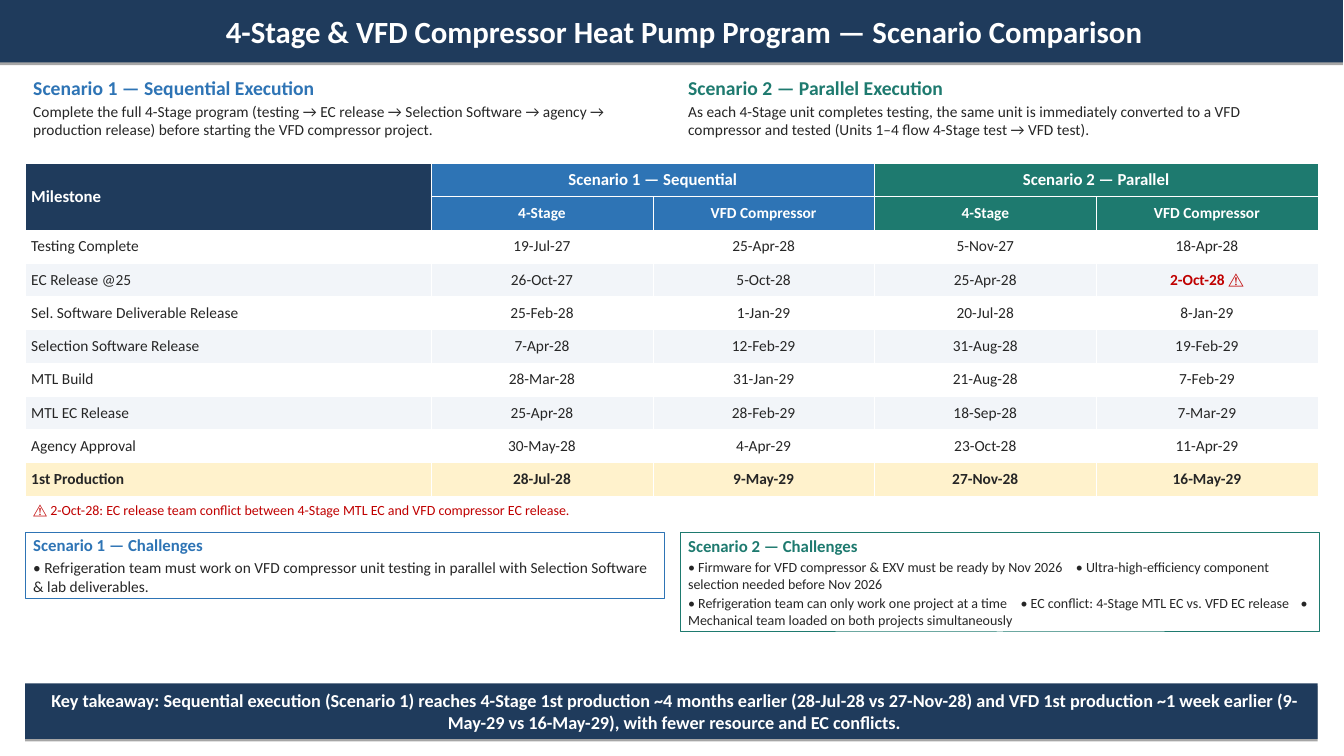
from lxml import etree
from pptx import Presentation
from pptx import util as u
from pptx.dml import color
from pptx.enum import shapes, text
from pptx.oxml import ns

FONT = "Calibri"
NAVY, BLUE, GREEN = "1F3B5C", "2E74B5", "1E7A6F"
INK, RED, WHITE = "262626", "C00000", "FFFFFF"
BAND, HIGHLIGHT = "F2F5F9", "FFF2CC"
LEFT, FULL_WIDTH = 0.25, 12.83
COLUMN_LEFTS, COLUMN_WIDTH = (LEFT, 6.75), 6.35
TEXT_INSETS = (0.08, 0.03, 0.08, 0.03)

SCENARIOS = [
    ("Scenario 1 — Sequential Execution", BLUE,
     "Complete the full 4-Stage program (testing → EC release → Selection Software → agency → "
     "production release) before starting the VFD compressor project."),
    ("Scenario 2 — Parallel Execution", GREEN,
     "As each 4-Stage unit completes testing, the same unit is immediately converted to a VFD "
     "compressor and tested (Units 1–4 flow 4-Stage test → VFD test)."),
]
GROUPS = [("Scenario 1 — Sequential", BLUE), ("Scenario 2 — Parallel", GREEN)]
SUBHEADS = ["4-Stage", "VFD Compressor"]
MILESTONES = [
    ("Testing Complete", "19-Jul-27", "25-Apr-28", "5-Nov-27", "18-Apr-28"),
    ("EC Release @25", "26-Oct-27", "5-Oct-28", "25-Apr-28", "2-Oct-28 ⚠"),
    ("Sel. Software Deliverable Release", "25-Feb-28", "1-Jan-29", "20-Jul-28", "8-Jan-29"),
    ("Selection Software Release", "7-Apr-28", "12-Feb-29", "31-Aug-28", "19-Feb-29"),
    ("MTL Build", "28-Mar-28", "31-Jan-29", "21-Aug-28", "7-Feb-29"),
    ("MTL EC Release", "25-Apr-28", "28-Feb-29", "18-Sep-28", "7-Mar-29"),
    ("Agency Approval", "30-May-28", "4-Apr-29", "23-Oct-28", "11-Apr-29"),
    ("1st Production", "28-Jul-28", "9-May-29", "27-Nov-28", "16-May-29"),
]
# Each challenge line: text and the tab stops (inches) of its later bullets
CHALLENGES = [
    ("Scenario 1 — Challenges", BLUE, 0.66, 11, [
        ("• Refrigeration team must work on VFD compressor unit testing in parallel with "
         "Selection Software & lab deliverables.", []),
    ]),
    ("Scenario 2 — Challenges", GREEN, 0.99, 10, [
        ("• Firmware for VFD compressor & EXV must be ready by Nov 2026\t"
         "• Ultra-high-efficiency component selection needed before Nov 2026", [3.85]),
        ("• Refrigeration team can only work one project at a time\t"
         "• EC conflict: 4-Stage MTL EC vs. VFD EC release\t"
         "• Mechanical team loaded on both projects simultaneously", [3.3, 6.08]),
    ]),
]


def rgb(hex_color):
    return color.RGBColor.from_string(hex_color)


def fill_solid(target, hex_color):
    target.fill.solid()
    target.fill.fore_color.rgb = rgb(hex_color)


def place(shape, box):
    shape.left, shape.top, shape.width, shape.height = (u.Inches(length) for length in box)


def set_frame(frame, insets, anchor):
    frame.word_wrap = True
    frame.auto_size = text.MSO_AUTO_SIZE.NONE
    frame.vertical_anchor = anchor
    (frame.margin_left, frame.margin_top,
     frame.margin_right, frame.margin_bottom) = (u.Inches(inset) for inset in insets)


def write(paragraph, words, size, hex_color, bold=False, centred=False, after=0):
    paragraph.alignment = text.PP_ALIGN.CENTER if centred else text.PP_ALIGN.LEFT
    paragraph.space_before = u.Pt(0)
    paragraph.space_after = u.Pt(after)
    run = paragraph.add_run()
    run.text = words
    run.font.name, run.font.size, run.font.bold = FONT, u.Pt(size), bold
    run.font.color.rgb = rgb(hex_color)


def add_tab_stops(paragraph, stops):
    tab_list = etree.SubElement(paragraph._p.get_or_add_pPr(), ns.qn("a:tabLst"))
    for stop in stops:
        etree.SubElement(tab_list, ns.qn("a:tab"), pos=str(u.Inches(stop)), algn="l")


def style_banner(shape, box, words, size, left_inset):
    """Navy band with a thin shadow below and centred white text."""
    place(shape, box)
    fill_solid(shape, NAVY)
    shape.line.fill.background()
    shape.shadow.inherit = False
    effects = shape._element.spPr.find(ns.qn("a:effectLst"))
    shadow = etree.SubElement(effects, ns.qn("a:outerShdw"), blurRad="0",
                              dist=str(u.Pt(1.8)), dir="5400000", rotWithShape="0")
    shade = etree.SubElement(shadow, ns.qn("a:srgbClr"), val="000000")
    etree.SubElement(shade, ns.qn("a:alpha"), val="35000")
    set_frame(shape.text_frame, (left_inset, 0.05, 0.1, 0.05), text.MSO_ANCHOR.MIDDLE)
    write(shape.text_frame.paragraphs[0], words, size, WHITE, bold=True, centred=True)


def add_text_box(slide, box):
    shape = slide.shapes.add_textbox(*(u.Inches(length) for length in box))
    set_frame(shape.text_frame, TEXT_INSETS, text.MSO_ANCHOR.TOP)
    return shape.text_frame


def add_rectangle(slide, box):
    return slide.shapes.add_shape(shapes.MSO_SHAPE.RECTANGLE,
                                  *(u.Inches(length) for length in box))


def add_scenario(slide, box, heading, accent, summary):
    frame = add_text_box(slide, box)
    write(frame.paragraphs[0], heading, 14, accent, bold=True, after=2)
    write(frame.add_paragraph(), summary, 11, INK, after=2)


def add_challenges(slide, box, heading, accent, size, lines):
    panel = add_rectangle(slide, box)
    panel.shadow.inherit = False
    fill_solid(panel, WHITE)
    panel.line.color.rgb = rgb(accent)
    panel.line.width = u.Pt(0.75)
    frame = panel.text_frame
    set_frame(frame, TEXT_INSETS, text.MSO_ANCHOR.TOP)
    write(frame.paragraphs[0], heading, 12, accent, bold=True, after=2)
    for words, stops in lines:
        paragraph = frame.add_paragraph()
        write(paragraph, words, size, INK, after=2)
        if stops:
            add_tab_stops(paragraph, stops)


def style_cell(cell, fill, words="", size=11, hex_color=INK, bold=False, centred=True):
    """Fill a cell, give it thin white borders and write its text."""
    fill_solid(cell, fill)
    properties = cell._tc.get_or_add_tcPr()
    for index, side in enumerate(("a:lnL", "a:lnR", "a:lnT", "a:lnB")):
        border = etree.Element(ns.qn(side), w=str(u.Pt(0.45)))
        solid = etree.SubElement(border, ns.qn("a:solidFill"))
        etree.SubElement(solid, ns.qn("a:srgbClr"), val=WHITE)
        properties.insert(index, border)
    cell.vertical_anchor = text.MSO_ANCHOR.MIDDLE
    cell.margin_left = cell.margin_right = u.Inches(0.06)
    if words:
        write(cell.text_frame.paragraphs[0], words, size, hex_color, bold, centred)


def add_milestone_table(slide, box):
    left, top, width, height = (u.Inches(length) for length in box)
    row_count = len(MILESTONES) + 2
    table = slide.shapes.add_table(row_count, 5, left, top, width, height).table
    for column, column_width in zip(table.columns, [4.03] + [2.2] * 4):
        column.width = u.Inches(column_width)
    for row in table.rows:
        row.height = height // row_count

    style_cell(table.cell(0, 0), NAVY, "Milestone", 12, WHITE, bold=True, centred=False)
    style_cell(table.cell(1, 0), NAVY)
    table.cell(0, 0).merge(table.cell(1, 0))
    for group, (name, accent) in enumerate(GROUPS):
        first = 1 + 2 * group
        style_cell(table.cell(0, first), accent, name, 12, WHITE, bold=True)
        style_cell(table.cell(0, first + 1), accent)
        table.cell(0, first).merge(table.cell(0, first + 1))
        for offset, subhead in enumerate(SUBHEADS):
            style_cell(table.cell(1, first + offset), accent, subhead, 11, WHITE, bold=True)

    for index, milestone in enumerate(MILESTONES):
        final = index == len(MILESTONES) - 1
        fill = HIGHLIGHT if final else (WHITE, BAND)[index % 2]
        for column, words in enumerate(milestone):
            conflict = "⚠" in words
            style_cell(table.cell(index + 2, column), fill, words,
                       hex_color=RED if conflict else INK,
                       bold=final or conflict, centred=column > 0)


def main():
    presentation = Presentation()
    presentation.slide_width, presentation.slide_height = u.Inches(13.34), u.Inches(7.5)
    slide = presentation.slides.add_slide(presentation.slide_layouts[5])

    style_banner(slide.shapes.title, (0, 0, 13.33, 0.62),
                 "4-Stage & VFD Compressor Heat Pump Program — Scenario Comparison", 22, 0.35)
    for left, scenario in zip(COLUMN_LEFTS, SCENARIOS):
        add_scenario(slide, (left, 0.72, COLUMN_WIDTH, 0.69), *scenario)
    add_milestone_table(slide, (LEFT, 1.62, FULL_WIDTH, 3.3))
    note = add_text_box(slide, (LEFT, 4.95, FULL_WIDTH, 0.23))
    write(note.paragraphs[0], "⚠ 2-Oct-28: EC release team conflict between 4-Stage MTL EC "
          "and VFD compressor EC release.", 10, RED)
    for left, (heading, accent, height, size, lines) in zip(COLUMN_LEFTS, CHALLENGES):
        add_challenges(slide, (left, 5.28, COLUMN_WIDTH, height), heading, accent, size, lines)
    takeaway_box = (LEFT, 6.78, FULL_WIDTH, 0.55)
    style_banner(add_rectangle(slide, takeaway_box), takeaway_box,
                 "Key takeaway: Sequential execution (Scenario 1) reaches 4-Stage 1st production "
                 "~4 months earlier (28-Jul-28 vs 27-Nov-28) and VFD 1st production ~1 week "
                 "earlier (9-May-29 vs 16-May-29), with fewer resource and EC conflicts.", 13, 0.15)
    presentation.save("out.pptx")


if __name__ == "__main__":
    main()
